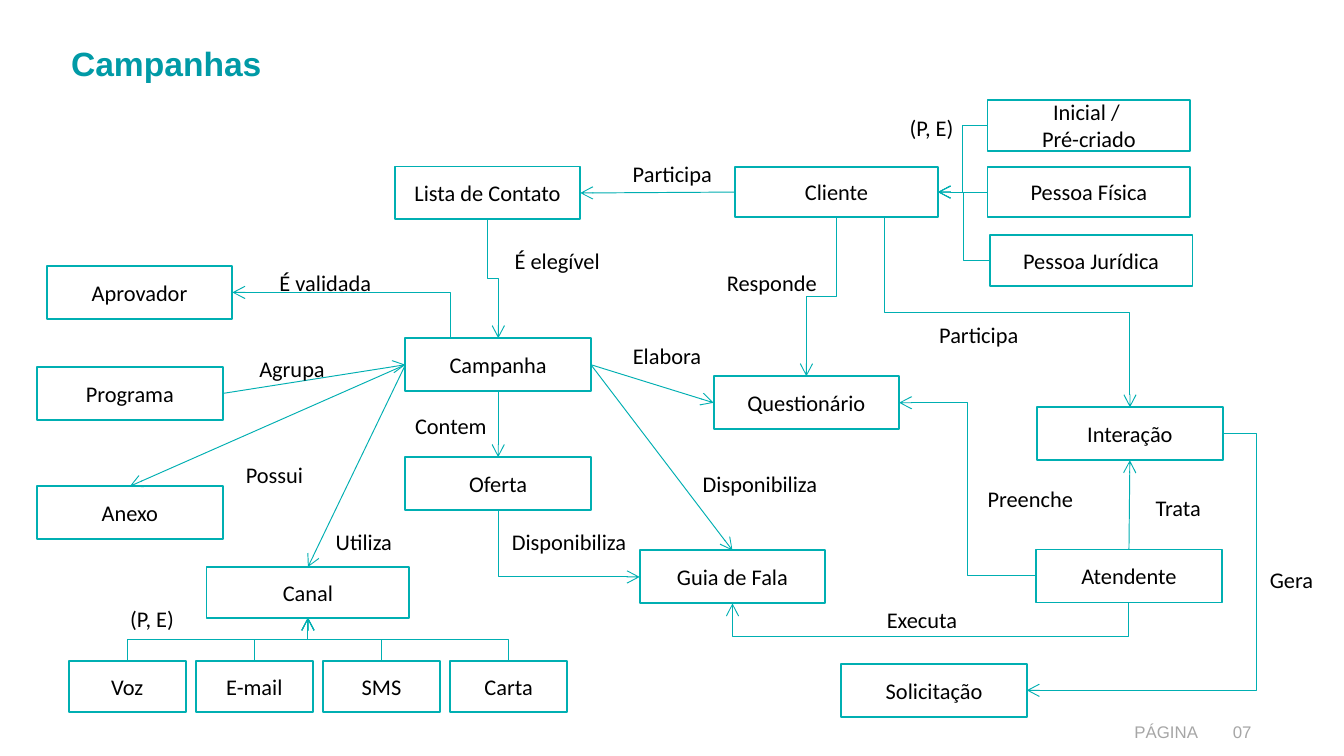
from lxml.etree import SubElement
from pptx import Presentation
from pptx.dml.color import RGBColor
from pptx.enum.shapes import MSO_CONNECTOR, MSO_SHAPE
from pptx.enum.text import MSO_ANCHOR, MSO_AUTO_SIZE, PP_ALIGN
from pptx.oxml.ns import qn
from pptx.util import Pt

TEAL, TITLE, BLACK, WHITE, GREY = "00AFB2", "009AA6", "000000", "FFFFFF", "A6A6A6"
TOP, LEFT, BOTTOM, RIGHT = range(4)

# Entities: size of each family, then name, left, top
ENTITY, PERSON, CHANNEL = (99.4, 28.4), (108.7, 27.2), (62.6, 27.2)
CHANNELS = ["Voz", "E-mail", "SMS", "Carta"]
BOXES = [
    (ENTITY, [("Campanha", 217.2, 181.2), ("Programa", 19.9, 196.6),
              ("Lista de Contato", 211.5, 89.2), ("Interação", 555.6, 218.2),
              ("Questionário", 382.3, 201.6), ("Guia de Fala", 342.7, 294.9),
              ("Aprovador", 25.1, 142.5), ("Anexo", 19.9, 260.5),
              ("Oferta", 217.2, 244.9), ("Atendente", 555.1, 294.4),
              ("Solicitação", 450.7, 355.6)]),
    (PERSON, [("Cliente", 393.8, 89.3), ("Pessoa Física", 529, 89.3),
              ("Pessoa Jurídica", 530.2, 126), ("Inicial / \nPré-criado", 529, 53.6),
              ("Canal", 110.6, 303.8)]),
    (CHANNEL, [(name, 36.9 + 68.1 * i, 354.3) for i, name in enumerate(CHANNELS)]),
]

# Relation labels: text, left, top, width
LABELS = [
    ("Agrupa", 131.8, 186.5, 49.7), ("Disponibiliza", 369.4, 248.4, 76.3),
    ("É validada", 142.6, 140.4, 64.1), ("É elegível", 268.6, 128.9, 60.5),
    ("Participa", 331.9, 82.1, 57.6), ("Contem", 215.3, 217.4, 53.3),
    ("Elabora", 331.9, 180, 51.8), ("Participa", 496.1, 168.5, 57.6),
    ("Executa", 468, 321.1, 52.6), ("Trata", 612, 261.4, 38.9),
    ("Preenche", 522, 256.3, 60.5), ("Possui", 124.6, 243.4, 46.1),
    ("Utiliza", 172.8, 279.4, 45.4), ("Gera", 673.2, 299.5, 38.2),
    ("Disponibiliza", 267.1, 279.4, 76.3), ("Responde", 382.3, 140.4, 63.4),
    ("(P, E)", 480.2, 57.6, 38.2), ("(P, E)", 62.6, 320.4, 38.2),
]

STRAIGHT = [
    ("Programa", RIGHT, "Campanha", LEFT), ("Campanha", RIGHT, "Questionário", LEFT),
    ("Campanha", BOTTOM, "Oferta", TOP), ("Campanha", RIGHT, "Guia de Fala", TOP),
    ("Atendente", TOP, "Interação", BOTTOM), ("Campanha", LEFT, "Anexo", TOP),
    ("Campanha", LEFT, "Canal", TOP), ("Cliente", LEFT, "Lista de Contato", RIGHT),
]

# Elbows: from, side, to, side, then options (shift of start, place of the bend)
ELBOWS = [
    ("Cliente", BOTTOM, "Interação", TOP, {"shift": 25.6}),
    ("Atendente", LEFT, "Questionário", RIGHT, {}),
    ("Atendente", BOTTOM, "Guia de Fala", BOTTOM, {"bend": 340.6}),
    ("Interação", RIGHT, "Solicitação", RIGHT, {"bend": 673.2}),
    ("Oferta", BOTTOM, "Guia de Fala", LEFT, {}),
    ("Campanha", TOP, "Aprovador", RIGHT, {"shift": -25.7}),
    ("Lista de Contato", BOTTOM, "Campanha", TOP, {}),
    ("Cliente", BOTTOM, "Questionário", TOP, {}),
]
ELBOWS += [(name, LEFT, "Cliente", RIGHT, {})
           for name in ("Inicial / \nPré-criado", "Pessoa Física", "Pessoa Jurídica")]
ELBOWS += [(name, TOP, "Canal", BOTTOM, {}) for name in CHANNELS]

# Page texts: text, left, top, width, height, size, colour, bold, alignment
PAGE_TEXTS = [
    ("Campanhas", 31, 19.4, 607, 61.9, 18, TITLE, True, PP_ALIGN.LEFT),
    ("07", 637.9, 383, 39.6, 21.6, 9, GREY, False, PP_ALIGN.RIGHT),
    ("PÁGINA", 31, 383, 617.8, 21.6, 9, GREY, False, PP_ALIGN.RIGHT),
]


def color(value):
    return RGBColor.from_string(value)


def write(shape, text, size=12, font="Calibri", ink=BLACK, bold=False, align=PP_ALIGN.LEFT):
    shape.text_frame.text = text
    for para in shape.text_frame.paragraphs:
        para.alignment = align
        para.font.size, para.font.name, para.font.bold = Pt(size), font, bold
        para.font.color.rgb = color(ink)


def add_box(name, left, top, width, height):
    box = page.shapes.add_shape(MSO_SHAPE.RECTANGLE, Pt(left), Pt(top), Pt(width), Pt(height))
    box.shadow.inherit = False
    box.fill.solid()
    box.fill.fore_color.rgb = color(WHITE)
    box.line.color.rgb = color(TEAL)
    box.line.width = Pt(1)
    box.text_frame.vertical_anchor = MSO_ANCHOR.MIDDLE
    box.text_frame.word_wrap = True
    write(box, name, align=PP_ALIGN.CENTER)
    return box


def add_text(left, top, width, height, wrap):
    box = page.shapes.add_textbox(Pt(left), Pt(top), Pt(width), Pt(height))
    box.text_frame.word_wrap = wrap
    return box


def side_point(name, side):
    box = boxes[name]
    across, down = {TOP: (0.5, 0), LEFT: (0, 0.5), BOTTOM: (0.5, 1), RIGHT: (1, 0.5)}[side]
    return (box.left + box.width * across) / Pt(1), (box.top + box.height * down) / Pt(1)


def add_arrow(kind, start, end):
    arrow = page.shapes.add_connector(kind, *[Pt(value) for value in (*start, *end)])
    arrow.line.color.rgb = color(TEAL)
    arrow.line.width = Pt(0.5)
    SubElement(arrow.line._get_or_add_ln(), qn("a:tailEnd"), type="arrow")
    SubElement(arrow._element.spPr, qn("a:effectLst"))
    return arrow


def add_elbow(source, source_side, target, target_side, shift=0, bend=None):
    (x1, y1), (x2, y2) = side_point(source, source_side), side_point(target, target_side)
    x1 += shift
    upright = source_side in (TOP, BOTTOM)
    start, end = (x1, y1), (x2, y2)
    if upright:
        # Lay the route on its side, then turn it a quarter about its centre
        turn = 1 if (x2 - x1) * (y2 - y1) < 0 else -1
        center_x, center_y = (x1 + x2) / 2, (y1 + y2) / 2
        half_x, half_y = turn * (x2 - x1) / 2, turn * (y2 - y1) / 2
        start = center_x - half_y, center_y + half_x
        end = center_x + half_y, center_y - half_x
    arrow = add_arrow(MSO_CONNECTOR.ELBOW, start, end)
    properties = arrow._element.spPr
    geometry = properties.find(qn("a:prstGeom"))
    if upright:
        properties.find(qn("a:xfrm")).set("rot", str(turn % 4 * 5400000))
        if target_side in (LEFT, RIGHT):
            geometry.set("prst", "bentConnector2")
    if bend is not None:
        first, last = (y1, y2) if upright else (x1, x2)
        ratio = round((bend - first) / (last - first) * 100000)
        guides = geometry.find(qn("a:avLst"))
        SubElement(guides, qn("a:gd"), name="adj1", fmla=f"val {ratio}")


deck = Presentation()
deck.slide_width, deck.slide_height = Pt(720), Pt(405)
page = deck.slides.add_slide(deck.slide_layouts[6])

# Entities
boxes = {name: add_box(name, left, top, *size)
         for size, family in BOXES for name, left, top in family}

# Relations
for source, source_side, target, target_side in STRAIGHT:
    arrow = add_arrow(MSO_CONNECTOR.STRAIGHT, side_point(source, source_side),
                      side_point(target, target_side))
    arrow.begin_connect(boxes[source], source_side)
    arrow.end_connect(boxes[target], target_side)
for *route, options in ELBOWS:
    add_elbow(*route, **options)

# Relation labels
for text, left, top, width in LABELS:
    label = add_text(left, top, width, 21.8, False)
    label.text_frame.auto_size = MSO_AUTO_SIZE.SHAPE_TO_FIT_TEXT
    write(label, text)

# Title and page number
for text, left, top, width, height, size, ink, bold, align in PAGE_TEXTS:
    write(add_text(left, top, width, height, True), text, size, "Arial", ink, bold, align)

deck.save("out.pptx")
